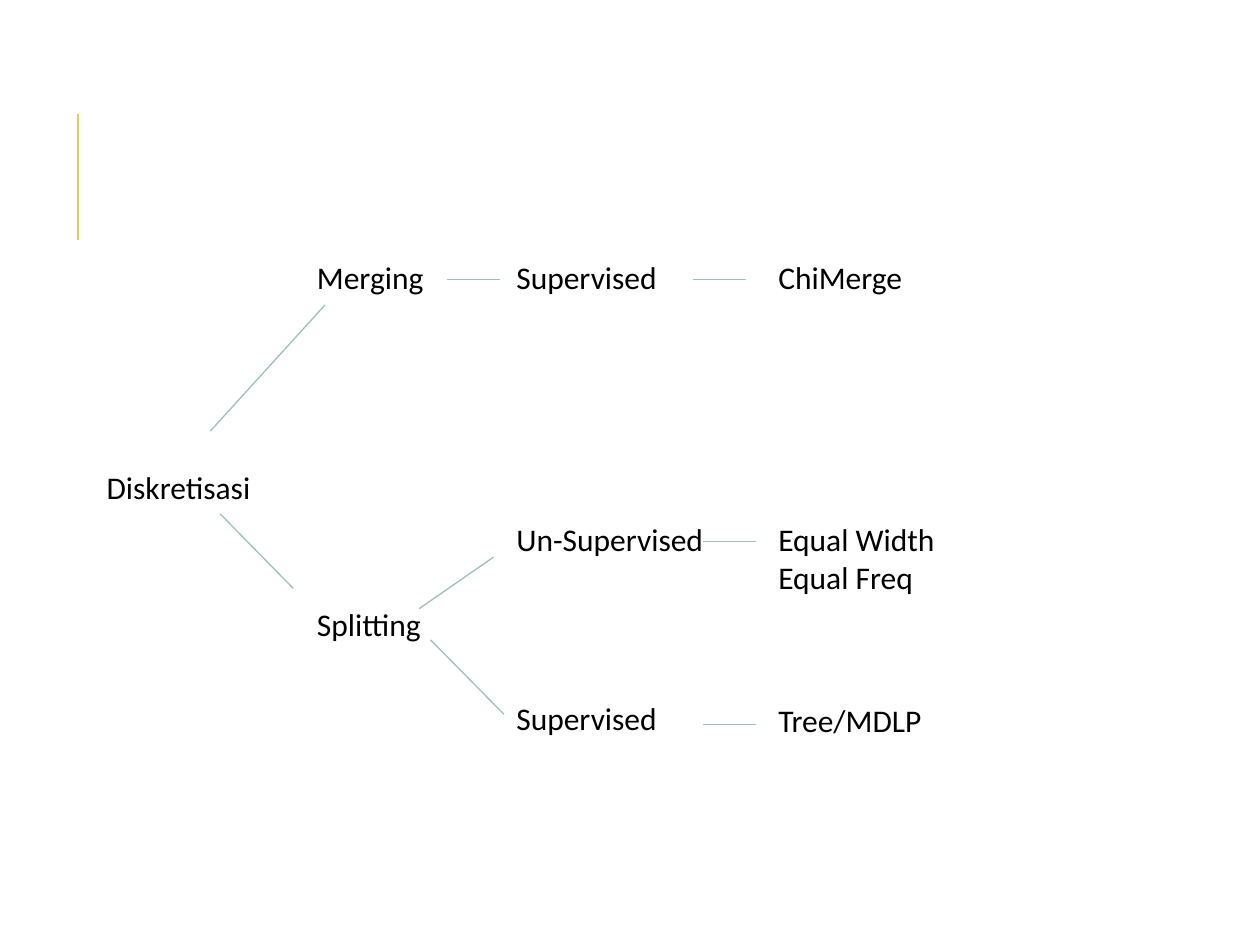
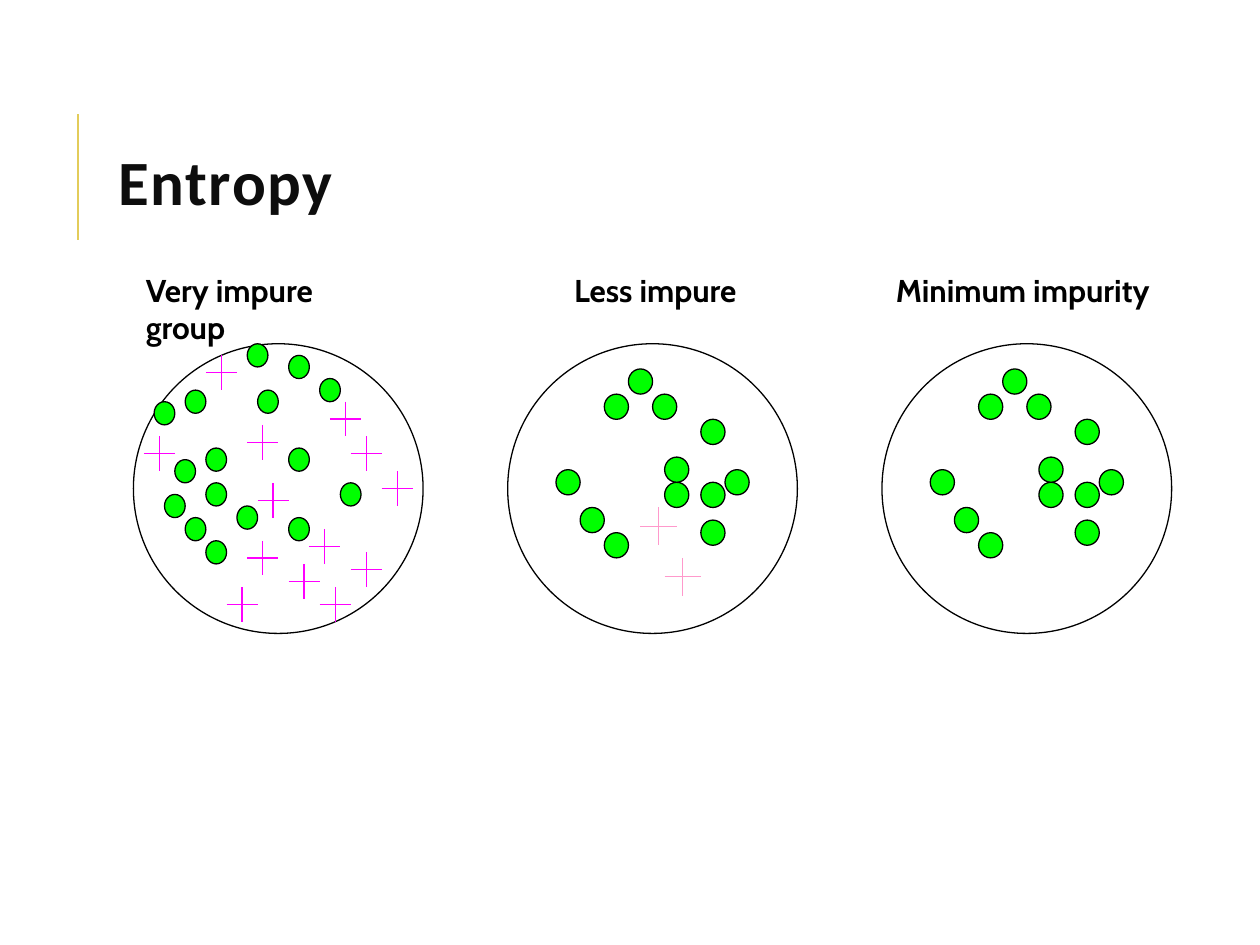
from lxml.etree import SubElement
from pptx import Presentation
from pptx.dml.color import RGBColor
from pptx.enum.shapes import MSO_CONNECTOR, MSO_SHAPE
from pptx.enum.text import MSO_ANCHOR, MSO_AUTO_SIZE, PP_ALIGN
from pptx.oxml.ns import qn
from pptx.util import Cm, Pt

BLACK = RGBColor(0x00, 0x00, 0x00)
TITLE_INK = RGBColor(0x0D, 0x0D, 0x0D)
ACCENT = RGBColor(0xE3, 0xCC, 0x5A)
BRANCH = RGBColor(0x9D, 0xBF, 0xBE)
GREEN = RGBColor(0x00, 0xFF, 0x00)
MAGENTA = RGBColor(0xFF, 0x00, 0xFF)
PINK = RGBColor(0xFF, 0x99, 0xCC)

# Tree: label, x, y, width, from the tree's top left corner in cm
TREE_LABELS = [
    ("Diskretisasi", 0, 4.24, 4.45),
    ("Merging", 4.24, 0, 4.45),
    ("Splitting", 4.24, 6.99, 4.45),
    ("Supervised", 8.26, 0, 4.45),
    ("Un-Supervised", 8.26, 5.28, 4.45),
    ("Supervised", 8.26, 8.89, 4.45),
    ("ChiMerge", 13.54, 0, 4.45),
    ("Equal Width\nEqual Freq", 13.54, 5.28, 4.45),
    ("Tree/MDLP", 13.54, 8.92, 5.72),
]
TREE_BRANCHES = [
    (2.34, 3.61, 4.65, 1.07),
    (7.11, 0.56, 8.18, 0.56),
    (12.07, 0.56, 13.13, 0.56),
    (12.27, 5.84, 13.34, 5.84),
    (12.27, 9.53, 13.34, 9.53),
    (6.55, 7.19, 8.05, 6.15),
    (2.54, 5.28, 4.01, 6.78),
    (6.78, 7.82, 8.26, 9.32),
]

# Entropy: marks sit on a grid of columns and rows laid over each circle
CIRCLE_SIZE = 5.84
DOT_CELLS = 2
CROSS_CELLS = 3
MIXED_GRID = (28, 25)
MIXED_DOTS = [(20, 12), (15, 9), (5, 4), (3, 13), (7, 12), (15, 1), (11, 0), (12, 4),
              (18, 3), (15, 15), (5, 15), (7, 17), (10, 14), (7, 9), (4, 10), (2, 5)]
MIXED_CROSSES = [(7, 1), (11, 7), (11, 17), (19, 5), (1, 8), (15, 19), (9, 21),
                 (21, 18), (12, 12), (17, 16), (18, 21), (21, 8), (24, 11)]
PURE_GRID = (24, 23)
PURE_DOTS = [(10, 2), (16, 11), (13, 11), (8, 4), (16, 14), (16, 6),
             (4, 10), (6, 13), (8, 15), (12, 4), (13, 9), (18, 10)]
STRAY_CROSSES = [(11, 13), (13, 17)]


def add_text(slide, text, left, top, width, height=1.03, *, font="Calibri", size=18,
             color=BLACK, bold=False, align=PP_ALIGN.LEFT, anchor=MSO_ANCHOR.TOP,
             line_spacing=None, tracking=None, grow=True):
    box = slide.shapes.add_textbox(Cm(left), Cm(top), Cm(width), Cm(height))
    frame = box.text_frame
    frame.word_wrap = True
    frame.auto_size = MSO_AUTO_SIZE.SHAPE_TO_FIT_TEXT if grow else MSO_AUTO_SIZE.NONE
    frame.vertical_anchor = anchor
    frame.text = text
    for paragraph in frame.paragraphs:
        paragraph.alignment = align
        paragraph.line_spacing = line_spacing
        for run in paragraph.runs:
            run.font.name = font
            run.font.size = Pt(size)
            run.font.bold = bold
            run.font.color.rgb = color
            if tracking:
                run._r.get_or_add_rPr().set("spc", str(tracking * 100))


def add_line(shapes, x1, y1, x2, y2, color, weight=0.75):
    line = shapes.add_connector(MSO_CONNECTOR.STRAIGHT, Cm(x1), Cm(y1), Cm(x2), Cm(y2))
    line.line.color.rgb = color
    line.line.width = Pt(weight)
    SubElement(line._element.spPr, qn("a:effectLst"))


def add_ellipse(shapes, left, top, width, height, fill=None):
    ellipse = shapes.add_shape(MSO_SHAPE.OVAL, Cm(left), Cm(top), Cm(width), Cm(height))
    ellipse.shadow.inherit = False
    ellipse.line.color.rgb = BLACK
    ellipse.line.width = Pt(0.75)
    if fill is None:
        ellipse.fill.background()
    else:
        ellipse.fill.solid()
        ellipse.fill.fore_color.rgb = fill


def add_cross(shapes, left, top, width, height, color):
    middle_x, middle_y = left + width / 2, top + height / 2
    add_line(shapes, left, middle_y, left + width, middle_y, color)
    add_line(shapes, middle_x, top, middle_x, top + height, color)


def new_slide(deck, title=None):
    slide = deck.slides.add_slide(deck.slide_layouts[6])
    # Accent rule beside the title
    add_line(slide.shapes, 1.57, 4.83, 1.57, 2.29, ACCENT, weight=1.5)
    if title:
        add_text(slide, title, 2.13, 1.7, 20.24, 4.17, size=36, color=TITLE_INK,
                 bold=True, anchor=MSO_ANCHOR.MIDDLE, line_spacing=0.8,
                 tracking=1, grow=False)
    return slide


def draw_tree(slide, left, top):
    for label, x, y, width in TREE_LABELS:
        add_text(slide, label, left + x, top + y, width)
    for x1, y1, x2, y2 in TREE_BRANCHES:
        add_line(slide.shapes, left + x1, top + y1, left + x2, top + y2, BRANCH)


def draw_sample(slide, left, top, grid, dots, crosses=(), cross_color=MAGENTA):
    """Circle with dots and crosses, grouped."""
    sample = slide.shapes.add_group_shape().shapes
    cell_width, cell_height = (CIRCLE_SIZE / count for count in grid)

    def cell_box(column, row, cells):
        return (left + column * cell_width, top + row * cell_height,
                cells * cell_width, cells * cell_height)

    add_ellipse(sample, left, top, CIRCLE_SIZE, CIRCLE_SIZE)
    for column, row in dots:
        add_ellipse(sample, *cell_box(column, row, DOT_CELLS), fill=GREEN)
    for column, row in crosses:
        add_cross(sample, *cell_box(column, row, CROSS_CELLS), cross_color)


def draw_entropy(slide, left, top, step=7.545):
    # Caption, its shift from the circle, its width, alignment, marks
    samples = [
        ("Very impure group", 0, 5.46, PP_ALIGN.LEFT,
         (MIXED_GRID, MIXED_DOTS, MIXED_CROSSES)),
        ("Less impure", 1.07, 3.81, PP_ALIGN.CENTER,
         (PURE_GRID, PURE_DOTS, STRAY_CROSSES, PINK)),
        ("Minimum impurity", -0.64, 6.96, PP_ALIGN.CENTER,
         (PURE_GRID, PURE_DOTS)),
    ]
    for index, (caption, shift, width, align, marks) in enumerate(samples):
        circle_left = left + index * step
        draw_sample(slide, circle_left, top + 1.6, *marks)
        add_text(slide, caption, circle_left + shift, top, width,
                 font="Cabin", bold=True, align=align)


def main():
    deck = Presentation()
    deck.slide_width, deck.slide_height = Cm(25.4), Cm(19.05)
    draw_tree(new_slide(deck), 1.9, 5.08)
    draw_entropy(new_slide(deck, "Entropy"), 2.69, 5.33)
    deck.save("out.pptx")


if __name__ == "__main__":
    main()
